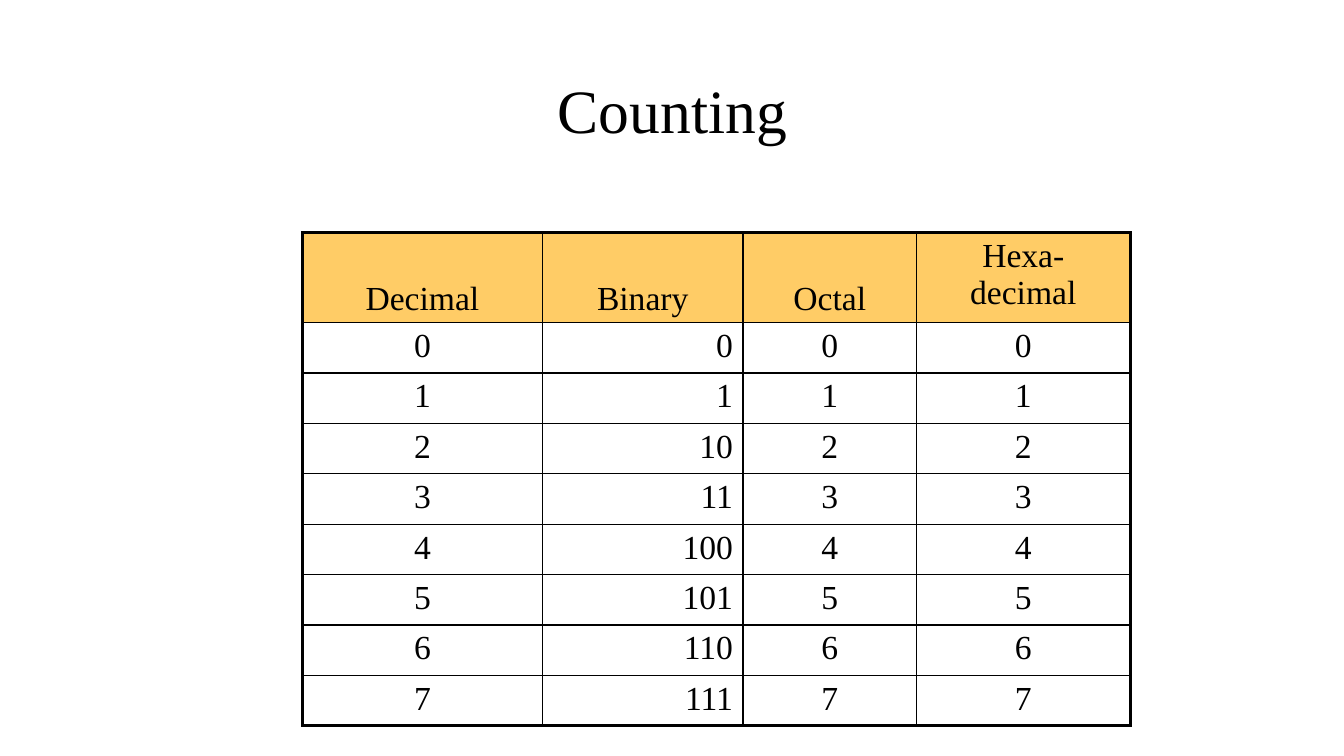
from lxml import etree
from pptx import Presentation
from pptx.dml.color import RGBColor
from pptx.enum.text import MSO_ANCHOR, PP_ALIGN
from pptx.oxml.ns import qn
from pptx.util import Inches, Pt

CENTER, RIGHT = PP_ALIGN.CENTER, PP_ALIGN.RIGHT
TOP, MIDDLE, BOTTOM = MSO_ANCHOR.TOP, MSO_ANCHOR.MIDDLE, MSO_ANCHOR.BOTTOM
TITLE_ONLY = 5
FONT = "Times New Roman"
BLACK, AMBER = "000000", "FFCC66"
THIN, THICK = 1, 2.25

HEADINGS = ["Decimal", "Binary", "Octal", "Hexa-\ndecimal"]
COUNTS = [[format(number, base) for base in "dboX"] for number in range(8)]
COLUMN_WIDTHS = [2.38, 1.99, 1.72, 2.12]
ROW_HEIGHTS = [0.89] + [0.5] * len(COUNTS)


def color(value):
    return RGBColor.from_string(value)


class CountingSlide:
    def __init__(self, deck):
        self.page = deck.slides.add_slide(deck.slide_layouts[TITLE_ONLY])

    def add_text(self, frame, text, size, align):
        para = frame.paragraphs[0]
        para.alignment = align
        for index, line in enumerate(text.split("\n")):
            if index:
                para.add_line_break()
            span = para.add_run()
            span.text = line
            span.font.name = FONT
            span.font.size = Pt(size)
            span.font.color.rgb = color(BLACK)
        return para

    def title(self, text, left, top, width, height):
        box = self.page.shapes.title
        box.left, box.top = Inches(left), Inches(top)
        box.width, box.height = Inches(width), Inches(height)
        box.text_frame.vertical_anchor = MIDDLE
        para = self.add_text(box.text_frame, text, 44, CENTER)
        para.line_spacing = 0.9

    def borders(self, cell, widths):
        properties = cell._tc.get_or_add_tcPr()
        for side, width in zip("LRTB", widths):
            line = etree.SubElement(properties, qn(f"a:ln{side}"), w=str(Pt(width)))
            fill = etree.SubElement(line, qn("a:solidFill"))
            etree.SubElement(fill, qn("a:srgbClr"), val=BLACK)

    def table(self, rows, left, top):
        last_row, last_column = len(rows) - 1, len(COLUMN_WIDTHS) - 1
        grid = self.page.shapes.add_table(
            len(rows), len(COLUMN_WIDTHS), Inches(left), Inches(top),
            Inches(sum(COLUMN_WIDTHS)), Inches(sum(ROW_HEIGHTS))).table
        grid.first_row = grid.horz_banding = False
        for column, width in zip(grid.columns, COLUMN_WIDTHS):
            column.width = Inches(width)
        for row, height in zip(grid.rows, ROW_HEIGHTS):
            row.height = Inches(height)
        for r, row in enumerate(rows):
            for c, text in enumerate(row):
                cell = grid.cell(r, c)
                edges = (c == 0, c == last_column, r == 0, r == last_row)
                self.borders(cell, [THICK if edge else THIN for edge in edges])
                if r == 0:
                    cell.fill.solid()
                    cell.fill.fore_color.rgb = color(AMBER)
                else:
                    cell.fill.background()
                cell.vertical_anchor = BOTTOM if r == 0 and c < last_column else TOP
                align = RIGHT if r and c == 1 else CENTER
                self.add_text(cell.text_frame, text, 24, align)


def main():
    deck = Presentation()
    deck.slide_width, deck.slide_height = Inches(13.33), Inches(7.5)
    slide = CountingSlide(deck)
    slide.title("Counting", 0.92, 0.4, 11.5, 1.45)
    slide.table([HEADINGS] + COUNTS, 3, 2.31)
    deck.save("out.pptx")


if __name__ == "__main__":
    main()
